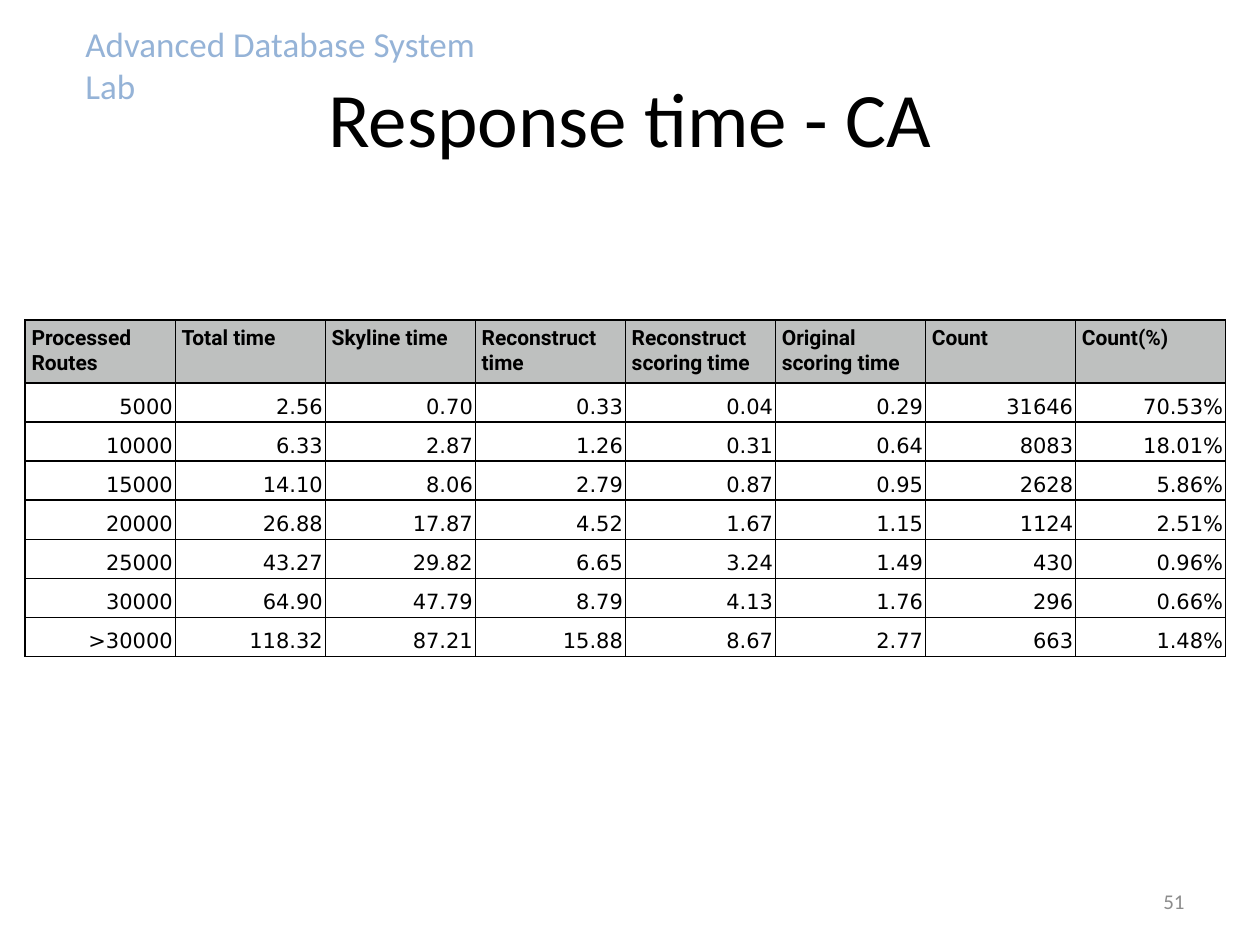
from lxml import etree
from pptx import Presentation
from pptx import util as u
from pptx.dml.color import RGBColor
from pptx.enum import text
from pptx.oxml import ns

BLACK = RGBColor(0x00, 0x00, 0x00)
GRAY = RGBColor(0x8C, 0x8C, 0x8C)
HEADER_FILL = RGBColor(0xBE, 0xC0, 0xBF)
LAB_BLUE = RGBColor(0x95, 0xB3, 0xD7)

HEADERS = ["Processed Routes", "Total time", "Skyline time", "Reconstruct time",
           "Reconstruct scoring time", "Original scoring time", "Count", "Count(%)"]
RESPONSE_TIMES = [
    ["5000", "2.56", "0.70", "0.33", "0.04", "0.29", "31646", "70.53%"],
    ["10000", "6.33", "2.87", "1.26", "0.31", "0.64", "8083", "18.01%"],
    ["15000", "14.10", "8.06", "2.79", "0.87", "0.95", "2628", "5.86%"],
    ["20000", "26.88", "17.87", "4.52", "1.67", "1.15", "1124", "2.51%"],
    ["25000", "43.27", "29.82", "6.65", "3.24", "1.49", "430", "0.96%"],
    ["30000", "64.90", "47.79", "8.79", "4.13", "1.76", "296", "0.66%"],
    [">30000", "118.32", "87.21", "15.88", "8.67", "2.77", "663", "1.48%"],
]


class SlideBuilder:
    unit = u.Inches(0.1)
    font = "Calibri"
    header_font = "Roboto"
    number_font = "DejaVu Sans"
    table_size = 12

    def __init__(self, presentation):
        self.slide = presentation.slides.add_slide(presentation.slide_layouts[5])

    def grid(self, *lengths):
        return [round(length * self.unit) for length in lengths]

    def fill_text(self, frame, words, size, color, align, font=None, bold=False):
        frame.text = words
        paragraph = frame.paragraphs[0]
        paragraph.alignment = align
        paragraph.font.name = font or self.font
        paragraph.font.size = u.Pt(size)
        paragraph.font.bold = bold
        paragraph.font.color.rgb = color

    def title(self, words, *place):
        shape = self.slide.shapes.title
        shape.left, shape.top, shape.width, shape.height = self.grid(*place)
        shape.text_frame.vertical_anchor = text.MSO_ANCHOR.MIDDLE
        self.fill_text(shape.text_frame, words, 44, BLACK, text.PP_ALIGN.CENTER)

    def label(self, words, *place, size, color, align=text.PP_ALIGN.LEFT,
              anchor=text.MSO_ANCHOR.TOP):
        frame = self.slide.shapes.add_textbox(*self.grid(*place)).text_frame
        frame.word_wrap = True
        frame.vertical_anchor = anchor
        self.fill_text(frame, words, size, color, align)

    def border(self, cell):
        properties = cell._tc.get_or_add_tcPr()
        for position, side in enumerate(("lnL", "lnR", "lnT", "lnB")):
            line = etree.Element(ns.qn(f"a:{side}"), w=str(u.Pt(1)))
            fill = etree.SubElement(line, ns.qn("a:solidFill"))
            etree.SubElement(fill, ns.qn("a:srgbClr"), val=str(BLACK))
            properties.insert(position, line)

    def cell(self, cell, words, header):
        margin = u.Inches(0.05 if header else 0.02)
        cell.margin_left = cell.margin_right = margin
        cell.margin_top = cell.margin_bottom = margin
        if header:
            cell.fill.solid()
            cell.fill.fore_color.rgb = HEADER_FILL
            cell.vertical_anchor = text.MSO_ANCHOR.TOP
            align, font = text.PP_ALIGN.LEFT, self.header_font
        else:
            cell.fill.background()
            cell.vertical_anchor = text.MSO_ANCHOR.BOTTOM
            align, font = text.PP_ALIGN.RIGHT, self.number_font
        self.fill_text(cell.text_frame, words, self.table_size, BLACK, align, font, header)
        self.border(cell)

    def table(self, rows, left, top, width, header_height, row_height):
        height = header_height + row_height * (len(rows) - 1)
        frame = self.slide.shapes.add_table(
            len(rows), len(rows[0]), *self.grid(left, top, width, height))
        table = frame.table
        table.horz_banding = False
        for index, row in enumerate(rows):
            header = index == 0
            table.rows[index].height, = self.grid(header_height if header else row_height)
            for column, words in enumerate(row):
                self.cell(table.cell(index, column), words, header)


def main():
    presentation = Presentation()
    presentation.slide_width = u.Inches(10)
    presentation.slide_height = u.Inches(7.5)
    builder = SlideBuilder(presentation)
    builder.label("Advanced Database System Lab", 5.8, 1.3, 34.7, 4.4,
                  size=20, color=LAB_BLUE)
    builder.title("Response time - CA", 5, 3, 90, 12.5)
    builder.label("51", 71.7, 69.5, 23.3, 4, size=12, color=GRAY,
                  align=text.PP_ALIGN.RIGHT, anchor=text.MSO_ANCHOR.MIDDLE)
    builder.table([HEADERS] + RESPONSE_TIMES, 2, 25.4, 95.3, 5, 3.1)
    presentation.save("out.pptx")


if __name__ == "__main__":
    main()
